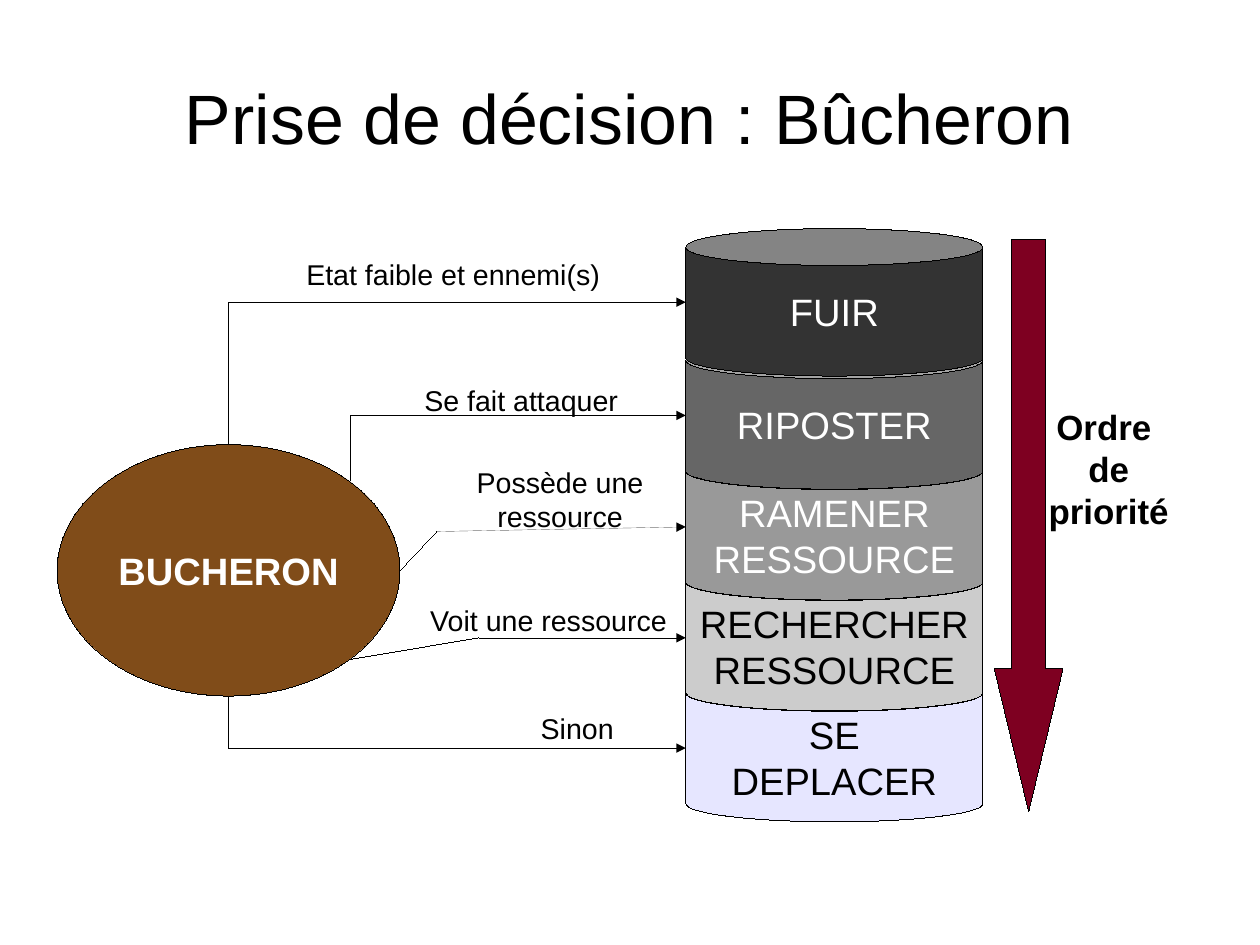
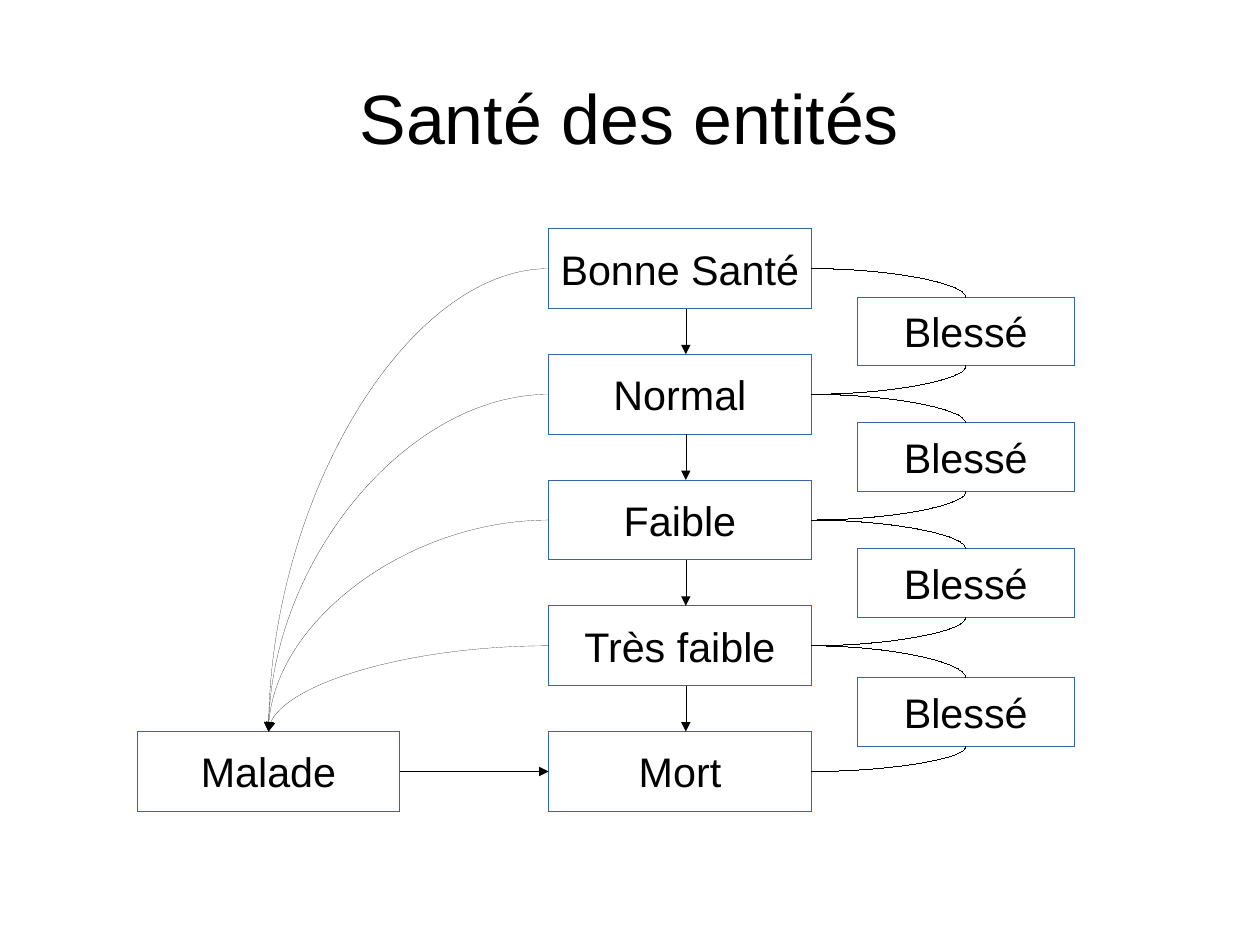
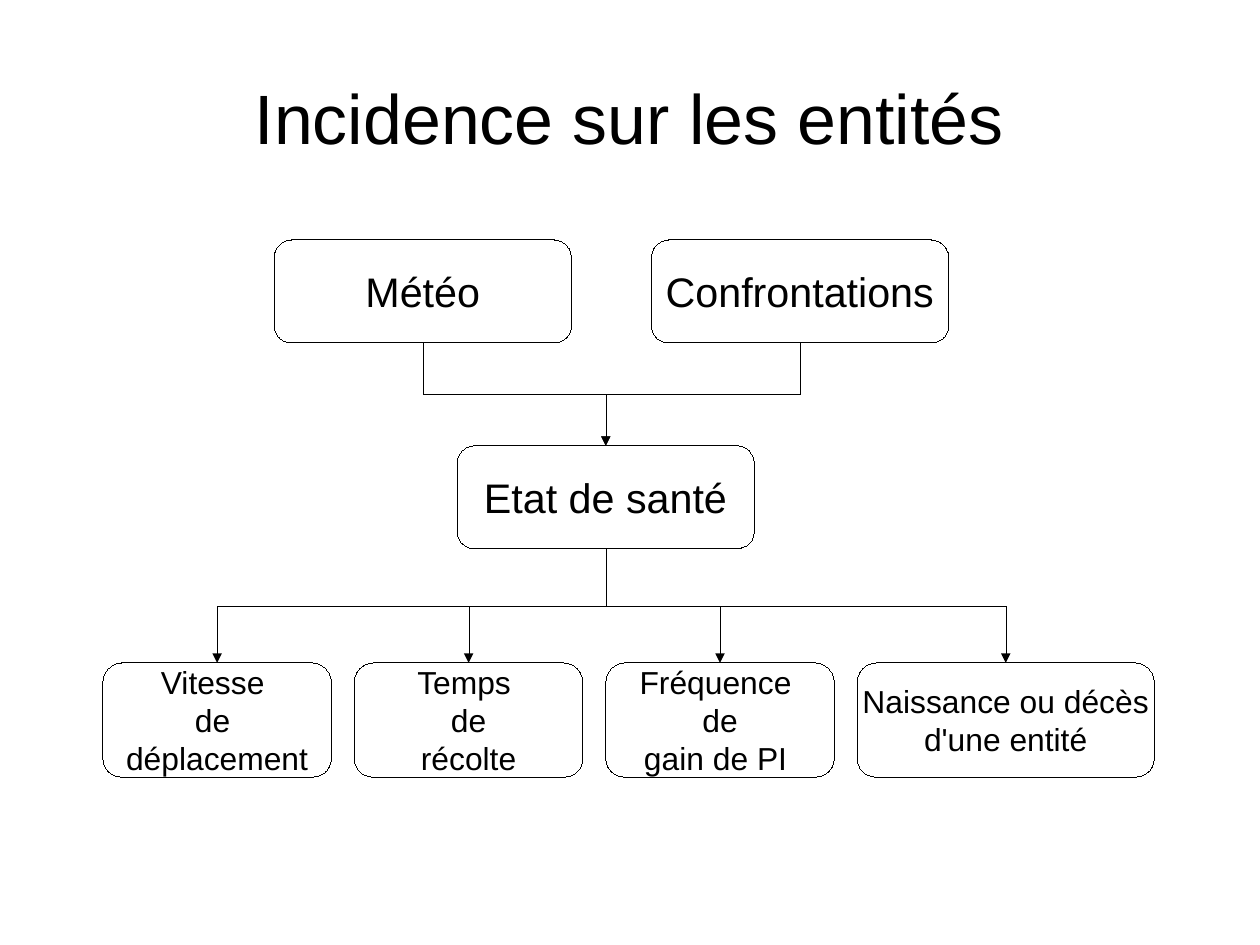
import math
from dataclasses import dataclass
from typing import NamedTuple, Optional

from lxml import etree
from pptx import Presentation
from pptx.dml.color import RGBColor
from pptx.enum import shapes, text
from pptx.oxml.ns import qn
from pptx.util import Inches, Pt

SHAPE = shapes.MSO_SHAPE
CONNECTOR = shapes.MSO_CONNECTOR
CM_PER_INCH = 2.54


@dataclass(frozen=True)
class Theme:
    font: str = "Arial"
    black: str = "000000"
    white: str = "FFFFFF"
    blue: str = "3465A4"
    brown: str = "804C19"
    burgundy: str = "7E0021"
    title: int = 44
    state: int = 26
    action: int = 24
    priority: int = 22
    effect: int = 20
    label: int = 18


THEME = Theme()


class Box(NamedTuple):
    left: float
    top: float
    width: float
    height: float


class Action(NamedTuple):
    caption: str
    top: float
    fill: str
    color: str


class Label(NamedTuple):
    caption: str
    box: Box


class Effect(NamedTuple):
    caption: str
    left: float
    width: float


class Site(NamedTuple):
    """Connection site: its index, and its place as fractions of the shape's size."""
    index: int
    across: float
    down: float


DIAGONAL = math.sqrt(0.5) / 2
TOP = Site(0, 0.5, 0)
LEFT = Site(1, 0, 0.5)
BOTTOM = Site(2, 0.5, 1)
RIGHT = Site(3, 1, 0.5)
CAN_LEFT = Site(2, 0, 0.5)
ELLIPSE_BOTTOM = Site(4, 0.5, 1)
ELLIPSE_TOP_RIGHT = Site(7, 0.5 + DIAGONAL, 0.5 - DIAGONAL)


def write(frame, caption: str, size: int, color: str = THEME.black, bold: bool = False) -> None:
    for number, line in enumerate(caption.split("\n")):
        paragraph = frame.paragraphs[0] if number == 0 else frame.add_paragraph()
        paragraph.alignment = text.PP_ALIGN.CENTER
        run = paragraph.add_run()
        run.text = line
        run.font.name = THEME.font
        run.font.size = Pt(size)
        run.font.bold = bold
        run.font.color.rgb = RGBColor.from_string(color)


def set_hairline(shape, color: str) -> None:
    """Colour the outline and write its zero width, which the style would else replace."""
    shape.line.color.rgb = RGBColor.from_string(color)
    shape._element.spPr.find(qn("a:ln")).set("w", "0")


def add_titled_slide(presentation, caption: str):
    slide = presentation.slides.add_slide(presentation.slide_layouts[5])
    title = slide.shapes.title
    title.left, title.top = Inches(0.55), Inches(0.33)
    title.width, title.height = Inches(9.92), Inches(1.38)
    frame = title.text_frame
    frame.margin_left = frame.margin_right = frame.margin_top = frame.margin_bottom = 0
    frame.vertical_anchor = text.MSO_ANCHOR.MIDDLE
    write(frame, caption, THEME.title)
    return slide


def add_node(slide, kind, box: Box, caption: str = "", size: int = THEME.state,
             fill: str = THEME.white, line: str = THEME.black,
             color: str = THEME.black, bold: bool = False):
    shape = slide.shapes.add_shape(kind, *map(Inches, box))
    shape.shadow.inherit = False
    shape.fill.solid()
    shape.fill.fore_color.rgb = RGBColor.from_string(fill)
    set_hairline(shape, line)
    if caption:
        frame = shape.text_frame
        frame.word_wrap = False
        frame.vertical_anchor = text.MSO_ANCHOR.MIDDLE
        write(frame, caption, size, color, bold)
    return shape


def add_label(slide, label: Label, size: int = THEME.label, bold: bool = False) -> None:
    frame = slide.shapes.add_textbox(*map(Inches, label.box)).text_frame
    frame.word_wrap = True
    write(frame, label.caption, size, bold=bold)


def add_line(slide, kind, begin: tuple[int, int], end: tuple[int, int], arrow: bool = True):
    connector = slide.shapes.add_connector(kind, *begin, *end)
    set_hairline(connector, THEME.black)
    properties = connector._element.spPr
    if arrow:
        etree.SubElement(properties.find(qn("a:ln")), qn("a:tailEnd"), type="triangle")
    etree.SubElement(properties, qn("a:effectLst"))
    return connector


def site_point(shape, site: Site) -> tuple[int, int]:
    return (round(shape.left + site.across * shape.width),
            round(shape.top + site.down * shape.height))


def join_routed(slide, kind, source, source_site: Site, target, target_site: Site,
                preset: Optional[str] = None, vertical: bool = False, arrow: bool = True) -> None:
    """Join two sites; a vertical route is a horizontal one turned by 90 degrees."""
    begin, end = site_point(source, source_site), site_point(target, target_site)
    if vertical:
        middle_x, middle_y = (begin[0] + end[0]) // 2, (begin[1] + end[1]) // 2
        half_x, half_y = (end[0] - begin[0]) // 2, (end[1] - begin[1]) // 2
        begin = middle_x - half_y, middle_y + half_x
        end = middle_x + half_y, middle_y - half_x
    connector = add_line(slide, kind, begin, end, arrow)
    properties = connector._element.spPr
    if vertical:
        properties.find(qn("a:xfrm")).set("rot", str(90 * 60000))
    if preset:
        properties.find(qn("a:prstGeom")).set("prst", preset)
    joints = connector._element.find(".//" + qn("p:cNvCxnSpPr"))
    for tag, shape, site in (("a:stCxn", source, source_site), ("a:endCxn", target, target_site)):
        etree.SubElement(joints, qn(tag), id=str(shape.shape_id), idx=str(site.index))


def build_decision(presentation) -> None:
    slide = add_titled_slide(presentation, "Prise de décision : Bûcheron")
    woodcutter = add_node(slide, SHAPE.OVAL, Box(0.5, 3.89, 3, 2.2), "BUCHERON", THEME.action,
                          THEME.brown, color=THEME.white, bold=True)
    actions = (
        Action("SE\nDEPLACER", 5.9, "E6E6FF", THEME.black),
        Action("RECHERCHER\nRESSOURCE", 4.93, "CCCCCC", THEME.black),
        Action("RAMENER\nRESSOURCE", 3.96, "999999", THEME.white),
        Action("RIPOSTER", 2.99, "666666", THEME.white),
        Action("FUIR", 2, "333333", THEME.white),
    )
    move, _, _, retaliate, flee = [
        add_node(slide, SHAPE.CAN, Box(6, action.top, 2.6, 1.29), action.caption,
                 THEME.action, action.fill, color=action.color)
        for action in actions
    ]
    for site, action in ((TOP, flee), (ELLIPSE_TOP_RIGHT, retaliate), (ELLIPSE_BOTTOM, move)):
        join_routed(slide, CONNECTOR.ELBOW, woodcutter, site, action, CAN_LEFT,
                    "bentConnector2", vertical=True)
    for start, bend, finish in (
        ((3.06, 5.77), (4.19, 5.58), (6, 5.58)),
        ((3.5, 4.99), (3.82, 4.65), (6, 4.61)),
    ):
        for begin, end, arrow in ((start, bend, False), (bend, finish, True)):
            add_line(slide, CONNECTOR.STRAIGHT, tuple(map(Inches, begin)),
                     tuple(map(Inches, end)), arrow)

    priority = add_node(slide, SHAPE.DOWN_ARROW, Box(8.7, 2.1, 0.6, 5), fill=THEME.burgundy)
    priority.adjustments[0] = 0.5
    priority.adjustments[1] = 2.08
    add_label(slide, Label("Ordre \nde\npriorité", Box(8.9, 3.5, 1.6, 1.12)),
              THEME.priority, bold=True)
    for label in (
        Label("Etat faible et ennemi(s) ", Box(2.5, 2.2, 3, 0.38)),
        Label("Se fait attaquer", Box(3.06, 3.3, 3, 0.38)),
        Label("Possède une ressource", Box(3.8, 4.02, 2.2, 0.66)),
        Label("Sinon", Box(2.9, 6.17, 4.3, 0.38)),
        Label("Voit une ressource", Box(3.3, 5.23, 3, 0.38)),
    ):
        add_label(slide, label)


def build_health(presentation) -> None:
    slide = add_titled_slide(presentation, "Santé des entités")
    captions = ("Bonne Santé", "Normal", "Faible", "Très faible", "Mort")
    states = [
        add_node(slide, SHAPE.RECTANGLE, Box(4.8, 2 + 1.1 * row, 2.3, 0.7), caption,
                 line=THEME.blue)
        for row, caption in enumerate(captions)
    ]
    sick = add_node(slide, SHAPE.RECTANGLE, Box(1.2, 6.4, 2.3, 0.7), "Malade", line=THEME.blue)
    decline_x = Inches(6)
    for state, worse, top in zip(states, states[1:], (2.6, 3.7, 4.8, 5.93)):
        wounded = add_node(slide, SHAPE.RECTANGLE, Box(7.5, top, 1.9, 0.6), "Blessé",
                           line=THEME.blue)
        add_line(slide, CONNECTOR.STRAIGHT, (decline_x, state.top + state.height),
                 (decline_x, worse.top))
        for neighbour, site in ((state, TOP), (worse, BOTTOM)):
            join_routed(slide, CONNECTOR.CURVE, neighbour, RIGHT, wounded, site,
                        "curvedConnector2", arrow=False)
        join_routed(slide, CONNECTOR.CURVE, state, LEFT, sick, TOP, "curvedConnector2")
    death = add_line(slide, CONNECTOR.STRAIGHT, site_point(sick, RIGHT),
                     site_point(states[-1], LEFT))
    death.begin_connect(sick, RIGHT.index)
    death.end_connect(states[-1], LEFT.index)


def build_incidence(presentation) -> None:
    slide = add_titled_slide(presentation, "Incidence sur les entités")
    weather, clashes, health = [
        add_node(slide, SHAPE.ROUNDED_RECTANGLE, Box(left, top, 2.6, 0.9), caption)
        for caption, left, top in (
            ("Météo", 2.4, 2.1), ("Confrontations", 5.7, 2.1), ("Etat de santé", 4, 3.9))
    ]
    effects = [
        add_node(slide, SHAPE.ROUNDED_RECTANGLE, Box(effect.left, 5.8, effect.width, 1),
                 effect.caption, THEME.effect)
        for effect in (
            Effect("Vitesse \nde \ndéplacement", 0.9, 2),
            Effect("Temps \nde\nrécolte", 3.1, 2),
            Effect("Fréquence \nde\ngain de PI ", 5.3, 2),
            Effect(" Naissance ou décès \nd'une entité", 7.5, 2.6),
        )
    ]
    links = [(cause, health) for cause in (weather, clashes)]
    links += [(health, effect) for effect in effects]
    for source, target in links:
        join_routed(slide, CONNECTOR.ELBOW, source, BOTTOM, target, TOP, vertical=True)


def main() -> None:
    presentation = Presentation()
    presentation.slide_width = Inches(28 / CM_PER_INCH)
    presentation.slide_height = Inches(21 / CM_PER_INCH)
    build_decision(presentation)
    build_health(presentation)
    build_incidence(presentation)
    presentation.save("out.pptx")


if __name__ == "__main__":
    main()
